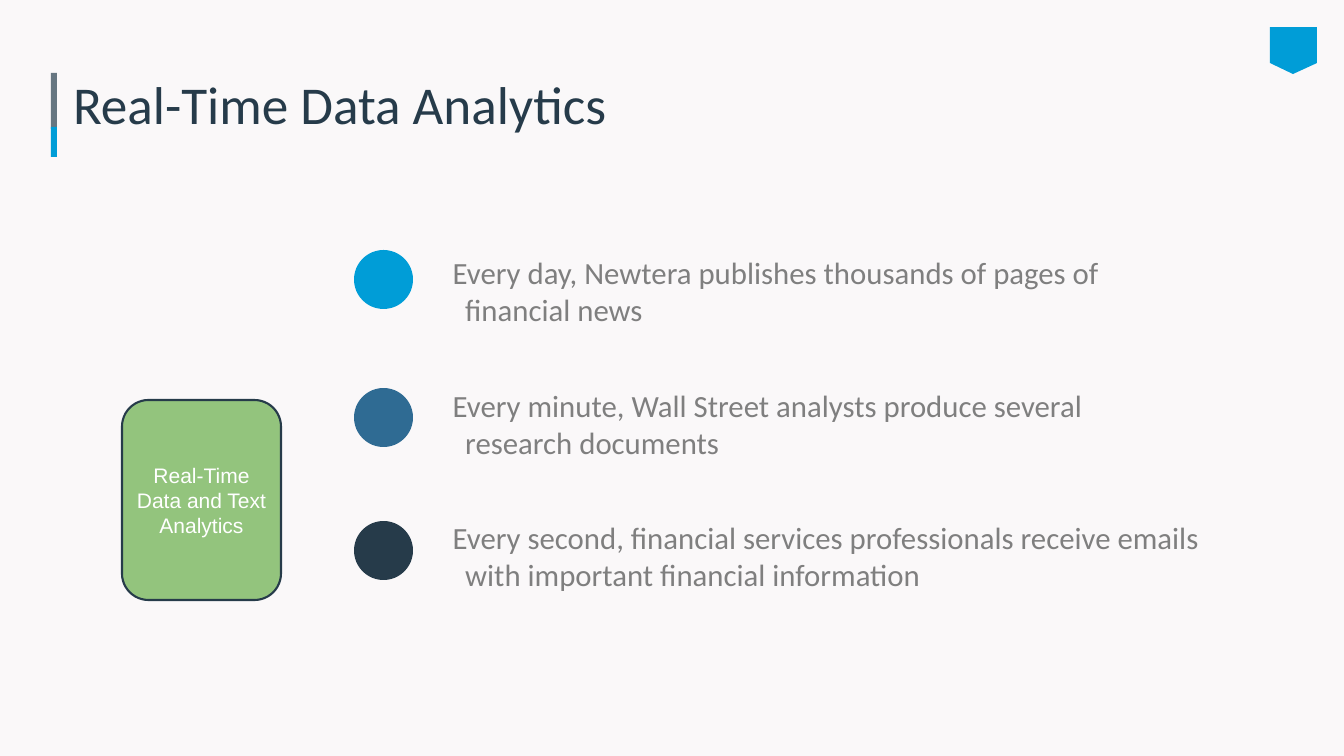
import pptx
import pptx.dml.color
import pptx.enum.shapes
import pptx.enum.text
import pptx.util

SCALE = 18143  # EMU in one px
COLORS = {
    "page": "FAF8F9",
    "sky": "009DD7",
    "steel": "2F6B93",
    "navy": "263B4A",
    "slate": "667681",
    "green": "93C47D",
    "gray": "7F7F7F",
    "white": "FFFFFF",
}
# circle top, circle colour, text box (left, top, width, height), wording
POINTS = [
    (250, "sky", (440, 233, 744, 149),
     "Every day, Newtera publishes thousands of pages of financial news"),
    (388, "steel", (440, 366, 744, 149),
     "Every minute, Wall Street analysts produce several research documents"),
    (521, "navy", (440, 461, 760, 224),
     "Every second, financial services professionals receive emails "
     "with important financial information"),
]
SHAPE = pptx.enum.shapes.MSO_SHAPE
ANCHOR = pptx.enum.text.MSO_ANCHOR


def px(n):
    return pptx.util.Emu(n * SCALE)


def color(name):
    return pptx.dml.color.RGBColor.from_string(COLORS[name])


def paint(shape, fill, line=None):
    shape.shadow.inherit = False
    shape.fill.solid()
    shape.fill.fore_color.rgb = color(fill)
    if line:
        shape.line.color.rgb = color(line)
        shape.line.width = pptx.util.Pt(3)
    else:
        shape.line.fill.background()


def add_shape(slide, kind, box, fill, line=None):
    shape = slide.shapes.add_shape(kind, *map(px, box))
    paint(shape, fill, line)
    return shape


def add_flag(slide):
    build = slide.shapes.build_freeform(1270, 63, scale=SCALE)
    build.add_line_segments([(1293, 74), (1317, 63), (1317, 27), (1270, 27)])
    paint(build.convert_to_shape(), "sky")


def write(shape, text, size, font, tint, anchor, inset, foot=None):
    """Fill the text frame; foot is a bottom inset that differs from the rest."""
    frame = shape.text_frame
    frame.word_wrap = True
    frame.auto_size = pptx.enum.text.MSO_AUTO_SIZE.NONE
    frame.vertical_anchor = anchor
    frame.margin_left = frame.margin_right = frame.margin_top = px(inset)
    frame.margin_bottom = px(inset if foot is None else foot)
    para = frame.paragraphs[0]
    run = para.add_run()
    run.text = text
    run.font.size = pptx.util.Pt(size)
    run.font.name = font
    run.font.color.rgb = color(tint)
    return para


def add_title(slide, text):
    title = slide.shapes.title
    title.left, title.top, title.width, title.height = map(px, (70, 63, 1148, 75))
    para = write(title, text, 76, "Calibri", "navy", ANCHOR.BOTTOM, 3)
    para.alignment = pptx.enum.text.PP_ALIGN.LEFT
    para.line_spacing = 0.8


def add_point(slide, top, tint, box, text):
    add_shape(slide, SHAPE.OVAL, (354, top, 59, 59), tint)
    label = slide.shapes.add_textbox(*map(px, box))
    para = write(label, text, 44, "Calibri", "gray", ANCHOR.MIDDLE, 0, foot=34)
    indent = para._p.get_or_add_pPr()
    indent.set("marL", str(pptx.util.Inches(0.5)))
    indent.set("indent", str(pptx.util.Inches(-0.25)))


def add_card(slide, text):
    card = add_shape(slide, SHAPE.ROUNDED_RECTANGLE, (122, 400, 159, 200),
                     "green", "navy")
    para = write(card, text, 30, "Arial", "white", ANCHOR.MIDDLE, 5)
    para.alignment = pptx.enum.text.PP_ALIGN.CENTER


def main():
    deck = pptx.Presentation()
    deck.slide_width, deck.slide_height = px(1344), px(756)
    slide = deck.slides.add_slide(deck.slide_layouts[5])
    slide.background.fill.solid()
    slide.background.fill.fore_color.rgb = color("page")

    add_flag(slide)
    add_shape(slide, SHAPE.RECTANGLE, (51, 73, 6, 56), "slate")
    add_shape(slide, SHAPE.RECTANGLE, (51, 127, 6, 30), "sky")
    add_title(slide, "Real-Time Data Analytics")
    for point in POINTS:
        add_point(slide, *point)
    add_card(slide, "Real-Time Data and Text Analytics")
    deck.save("out.pptx")


if __name__ == "__main__":
    main()
